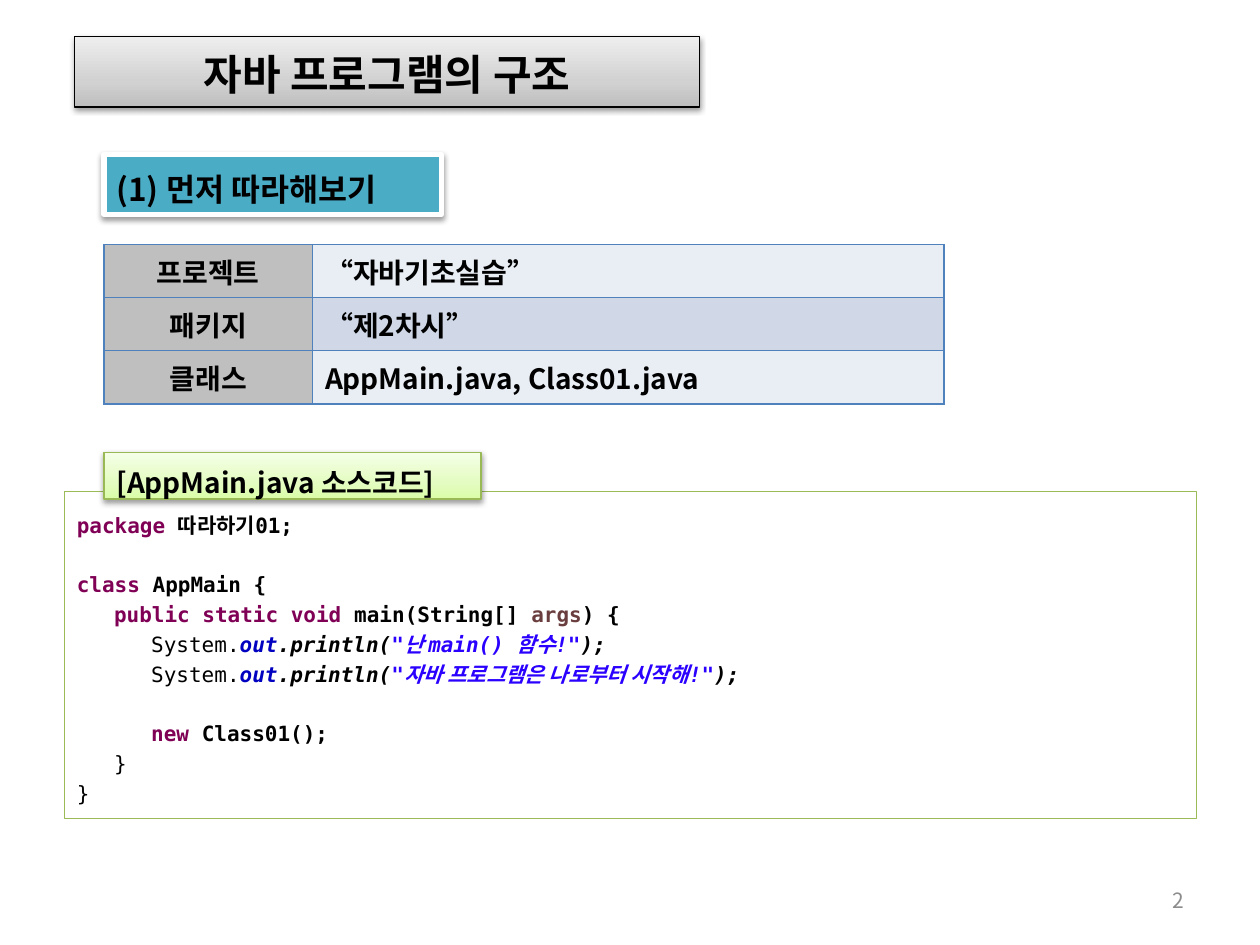
from lxml import etree
from pptx import Presentation
from pptx.dml.color import RGBColor
from pptx.enum import shapes, text
from pptx.oxml import parse_xml
from pptx.oxml.ns import nsdecls, qn
from pptx.util import Cm, Pt

SANS, MONO = "Noto Sans CJK KR", "DejaVu Sans Mono"
BLACK, KEYWORD, FIELD, STRING, ARGUMENT = "000000", "7F0055", "0000C0", "2A00FF", "6A3E3E"
BORDER = "4F81BD"

TITLE = "자바 프로그램의 구조"
STEP = "(1) 먼저 따라해보기"
LISTING = "[AppMain.java 소스코드]"
ROWS = [
    ("프로젝트", "“자바기초실습”", "E9EDF4"),
    ("패키지", "“제2차시”", "D0D8E8"),
    ("클래스", "AppMain.java, Class01.java", "E9EDF4"),
]


def print_line(message):
    return [("System.", BLACK, ""), ("out", FIELD, "bi"), (".println(", BLACK, "bi"),
            (f'"{message}"', STRING, "bi"), (");", BLACK, "bi")]


# Indent level, blank line above, spans of (words, colour, style)
CODE = [
    (0, False, [("package ", KEYWORD, "b"), ("따라하기01;", BLACK, "b")]),
    (0, True, [("class ", KEYWORD, "b"), ("AppMain {", BLACK, "b")]),
    (1, False, [("public static void", KEYWORD, "b"), (" main(String[] ", BLACK, "b"),
                ("args", ARGUMENT, "b"), (") {", BLACK, "b")]),
    (2, False, print_line("난 main() 함수!")),
    (2, False, print_line("자바 프로그램은 나로부터 시작해!")),
    (2, True, [("new ", KEYWORD, "b"), ("Class01();", BLACK, "b")]),
    (1, False, [("}", BLACK, "")]),
    (0, False, [("}", BLACK, "")]),
]


def color(value):
    return RGBColor.from_string(value)


def add_span(para, words, size, font=SANS, ink=BLACK, style="b"):
    span = para.add_run()
    span.text = words
    span.font.size, span.font.name = Pt(size), font
    span.font.bold, span.font.italic = "b" in style, "i" in style
    span.font.color.rgb = color(ink)
    # Hangul always takes the sans face, also inside code
    latin = span.font._element.find(qn("a:latin"))
    latin.addnext(parse_xml(f'<a:ea {nsdecls("a")} typeface="{SANS}"/>'))


def place(box, left, top, width, height):
    box.left, box.top, box.width, box.height = Cm(left), Cm(top), Cm(width), Cm(height)


def format_box(box, fills, line, line_width, shadow=True):
    """Fill with one colour, or with three from bottom to top, and draw line and shadow."""
    if len(fills) == 1:
        box.fill.solid()
        box.fill.fore_color.rgb = color(fills[0])
    else:
        box.fill.gradient()
        box.fill.gradient_angle = 90
        stops = box._element.spPr.find(".//" + qn("a:gsLst"))
        for stop in list(stops):
            stops.remove(stop)
        for position, shade in zip((0, 35000, 100000), fills):
            stop = etree.SubElement(stops, qn("a:gs"), pos=str(position))
            etree.SubElement(stop, qn("a:srgbClr"), val=shade)
    box.line.color.rgb = color(line)
    box.line.width = Pt(line_width)
    box.shadow.inherit = False
    if shadow:
        box._element.spPr.find(qn("a:effectLst")).append(parse_xml(
            f'<a:outerShdw {nsdecls("a")} blurRad="40000" dist="20000" dir="5400000" '
            'rotWithShape="0"><a:srgbClr val="000000"><a:alpha val="38000"/>'
            '</a:srgbClr></a:outerShdw>'))
    frame = box.text_frame
    frame.word_wrap = True
    frame.auto_size = text.MSO_AUTO_SIZE.NONE
    frame.vertical_anchor = text.MSO_ANCHOR.MIDDLE
    frame.margin_left = frame.margin_right = Cm(0.25)
    frame.margin_top, frame.margin_bottom = Cm(0.2), Cm(0.13)


def add_box(page, bounds, *look, **options):
    box = page.shapes.add_shape(shapes.MSO_SHAPE.FLOWCHART_PROCESS, *map(Cm, bounds))
    format_box(box, *look, **options)
    return box


def add_label(page, words, size, bounds, *look):
    para = add_box(page, bounds, *look).text_frame.paragraphs[0]
    para.alignment = text.PP_ALIGN.LEFT
    para.line_spacing = Pt(25)
    add_span(para, words, size)


def format_cell(cell, words, fill, align):
    properties = cell._tc.get_or_add_tcPr()
    for side in "LRTB":
        properties.append(parse_xml(
            f'<a:ln{side} {nsdecls("a")} w="12700"><a:solidFill>'
            f'<a:srgbClr val="{BORDER}"/></a:solidFill></a:ln{side}>'))
    cell.fill.solid()
    cell.fill.fore_color.rgb = color(fill)
    cell.vertical_anchor = text.MSO_ANCHOR.MIDDLE
    para = cell.text_frame.paragraphs[0]
    para.alignment = align
    add_span(para, words, 16)


def add_facts(page):
    widths, row_height = (4.2, 12.73), 1.07
    table = page.shapes.add_table(len(ROWS), 2, Cm(2.1), Cm(4.93), Cm(sum(widths)),
                                  Cm(row_height * len(ROWS))).table
    for column, width in zip(table.columns, widths):
        column.width = Cm(width)
    for index, (name, value, fill) in enumerate(ROWS):
        table.rows[index].height = Cm(row_height)
        format_cell(table.cell(index, 0), name, "BFBFBF", text.PP_ALIGN.CENTER)
        format_cell(table.cell(index, 1), value, fill, text.PP_ALIGN.LEFT)


def add_code(page):
    box = add_box(page, (1.3, 9.9, 22.81, 6.6), ["FFFFFF"], "9BBB59", 0.25, shadow=False)
    frame = box.text_frame
    for index, (level, gap, spans) in enumerate(CODE):
        para = frame.add_paragraph() if index else frame.paragraphs[0]
        para.alignment = text.PP_ALIGN.LEFT
        para.line_spacing = Pt(17)
        para.space_before = Pt(17 if gap else 0)
        para._p.get_or_add_pPr().set("marL", str(Cm(0.75 * level)))
        for words, ink, style in spans:
            add_span(para, words, 12, MONO, ink, style)


def add_page_number(page):
    box = page.shapes.add_textbox(Cm(18.2), Cm(17.65), Cm(5.93), Cm(1.01))
    box.text_frame.word_wrap = True
    box.text_frame.vertical_anchor = text.MSO_ANCHOR.MIDDLE
    para = box.text_frame.paragraphs[0]
    para.alignment = text.PP_ALIGN.RIGHT
    add_span(para, "2", 12, ink="8C8C8C", style="")


def main():
    deck = Presentation()
    deck.slide_width, deck.slide_height = Cm(25.4), Cm(19.05)
    page = deck.slides.add_slide(deck.slide_layouts[5])

    title = page.shapes.title
    place(title, 1.5, 0.74, 12.6, 1.42)
    format_box(title, ["BDBDBD", "D1D1D1", "EEEEEE"], BLACK, 0.75)
    title.text_frame.paragraphs[0].alignment = text.PP_ALIGN.CENTER
    add_span(title.text_frame.paragraphs[0], TITLE, 24)

    add_label(page, STEP, 18, (2.1, 3.12, 6.8, 1.2), ["4BACC6"], "FFFFFF", 3)
    add_facts(page)
    add_code(page)
    add_label(page, LISTING, 16, (2.1, 9.12, 7.6, 0.94),
              ["DAFDA7", "E4FCC2", "F5FFE7"], "98B955", 0.75)
    add_page_number(page)
    deck.save("out.pptx")


if __name__ == "__main__":
    main()
